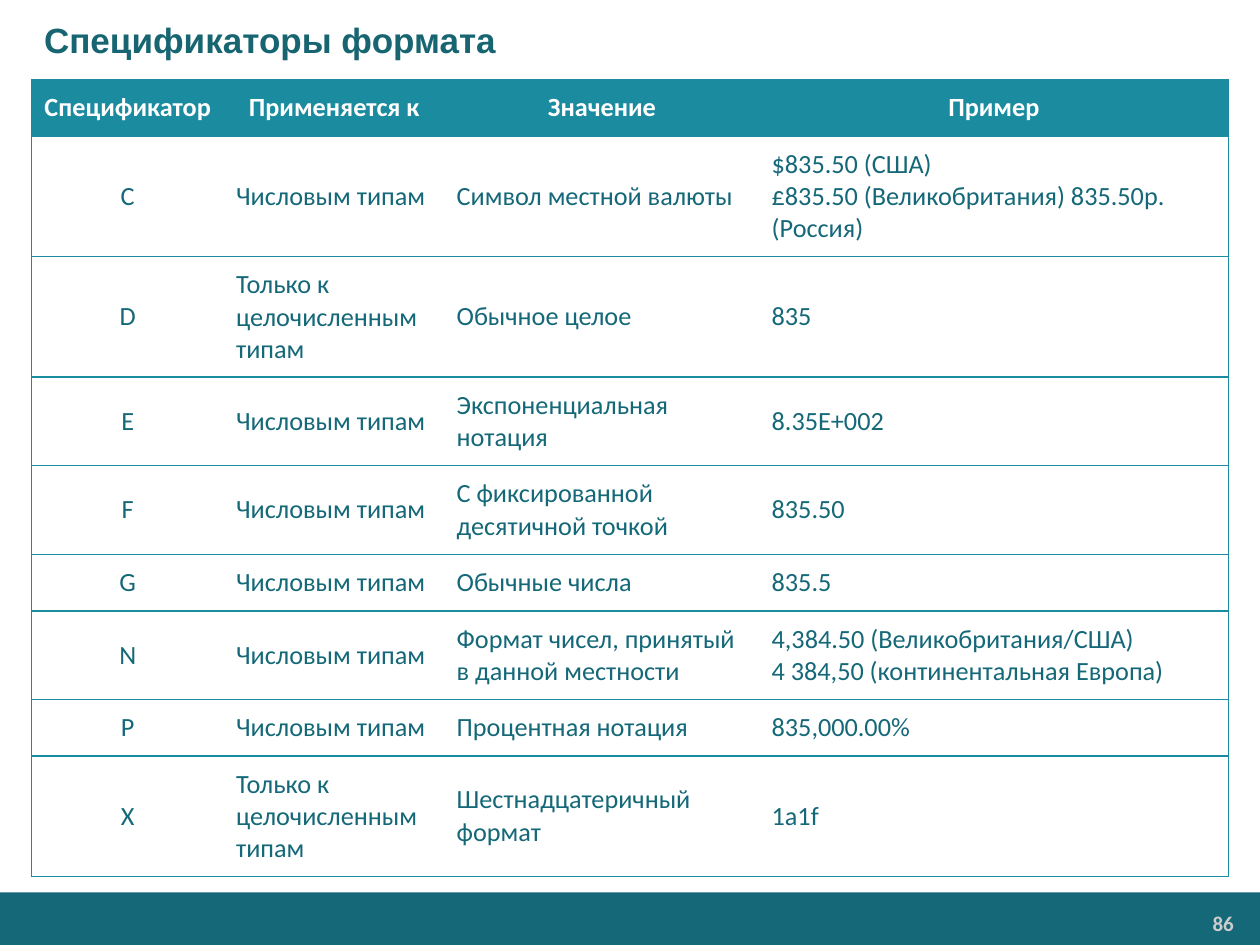
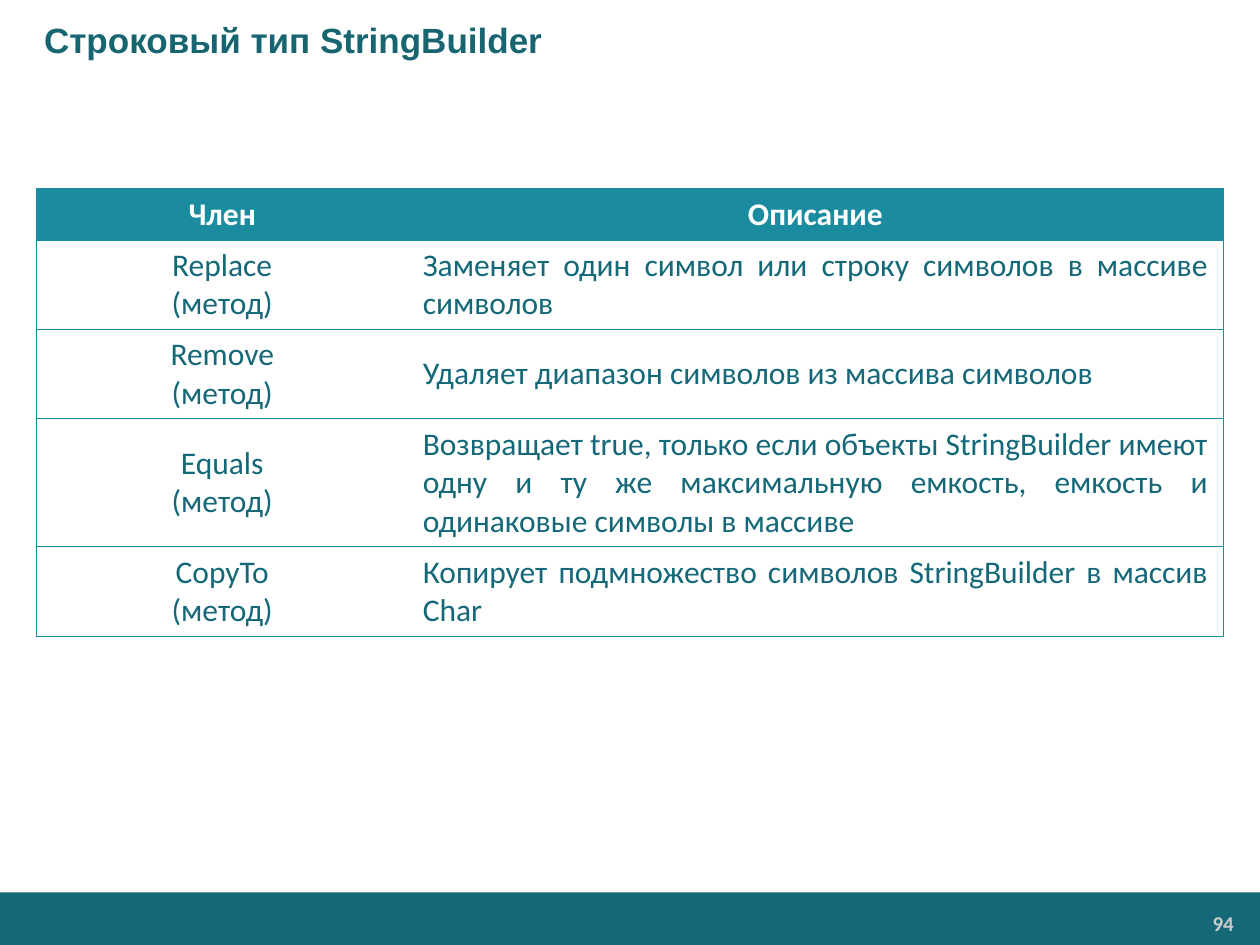
"""Build two reference slides on format specifiers and StringBuilder members."""
from lxml import etree
from pptx import Presentation
from pptx.dml.color import RGBColor
from pptx.enum import shapes, text
from pptx.oxml import ns
from pptx.util import Pt

WHITE = RGBColor(0xFF, 0xFF, 0xFF)
BAND = RGBColor(0x14, 0x68, 0x78)
TITLE = RGBColor(0x17, 0x65, 0x71)
NUMBER = RGBColor(0xCC, 0xCC, 0xCC)
HEADER = RGBColor(0x1B, 0x8B, 0xA0)
PAGE_WIDTH, PAGE_HEIGHT, BAND_TOP = 720, 540, 510
LINE_SPACING = 1.22
PLAIN_TABLE_STYLE = "{2D5ABB26-0587-4C30-8999-92F81FD0307C}"
LEFT, CENTER, RIGHT, JUSTIFY = (
    text.PP_ALIGN.LEFT, text.PP_ALIGN.CENTER, text.PP_ALIGN.RIGHT, text.PP_ALIGN.JUSTIFY)

NUMERIC = "Числовым типам"
INTEGER = "Только к целочисленным типам"

PAGES = [
    {
        "title": "Спецификаторы формата", "number": "86",
        "top": 45.5, "size": 15, "margins": (7, 7), "border": 1,
        "columns": [110, 126, 180, 268], "aligns": [CENTER, LEFT, LEFT, LEFT],
        "lines": [1, 3, 3, 2, 2, 1, 2, 1, 3],
        "rows": [
            ("Спецификатор", "Применяется к", "Значение", "Пример"),
            ("C", NUMERIC, "Символ местной валюты",
             "$835.50 (США)\v£835.50 (Великобритания) 835.50р.(Россия)"),
            ("D", INTEGER, "Обычное целое", "835"),
            ("E", NUMERIC, "Экспоненциальная нотация", "8.35Е+002"),
            ("F", NUMERIC, "С фиксированной десятичной точкой", "835.50"),
            ("G", NUMERIC, "Обычные числа", "835.5"),
            ("N", NUMERIC, "Формат чисел, принятый в данной местности",
             "4,384.50 (Великобритания/США)\v4 384,50 (континентальная Европа)"),
            ("P", NUMERIC, "Процентная нотация", "835,000.00%"),
            ("X", INTEGER, "Шестнадцатеричный формат", "1a1f"),
        ],
    },
    {
        "title": "Строковый тип StringBuilder", "number": "94",
        "top": 108, "size": 18, "margins": (8.64, 3.6), "border": 0.75,
        "columns": [212, 466], "aligns": [CENTER, JUSTIFY],
        "lines": [1, 2, 2, 3, 2],
        "rows": [
            ("Член", "Описание"),
            ("Replace\n(метод)", "Заменяет один символ или строку символов в массиве символов"),
            ("Remove\n(метод)", "Удаляет диапазон символов из массива символов"),
            ("Equals\n(метод)",
             "Возвращает true, только если объекты StringBuilder имеют одну и ту же "
             "максимальную емкость, емкость и одинаковые символы в массиве"),
            ("СоруТо\n(метод)", "Копирует подмножество символов StringBuilder в массив Char"),
        ],
    },
]


def write(frame, words, align, **formats):
    """Put words into a text frame with one alignment and font."""
    frame.text = words
    frame.word_wrap = True
    for para in frame.paragraphs:
        para.alignment = align
        for span in para.runs:
            span.font.color.rgb = formats["color"]
            for name in ("name", "size", "bold"):
                setattr(span.font, name, formats[name])


def add_border(cell, side, width):
    """Draw one edge of a table cell."""
    edge = etree.SubElement(cell._tc.get_or_add_tcPr(), ns.qn(f"a:ln{side}"), w=str(Pt(width)))
    fill = etree.SubElement(edge, ns.qn("a:solidFill"))
    etree.SubElement(fill, ns.qn("a:srgbClr"), val=str(HEADER))


deck = Presentation()
deck.slide_width, deck.slide_height = Pt(PAGE_WIDTH), Pt(PAGE_HEIGHT)

for content in PAGES:
    page = deck.slides.add_slide(deck.slide_layouts[6])

    band = page.shapes.add_shape(shapes.MSO_SHAPE.RECTANGLE, 0, Pt(BAND_TOP),
                                 Pt(PAGE_WIDTH), Pt(PAGE_HEIGHT - BAND_TOP))
    band.shadow.inherit = False
    band.fill.solid()
    band.fill.fore_color.rgb = BAND
    band.line.fill.background()

    number = page.shapes.add_textbox(Pt(592.5), Pt(517.7), Pt(117.5), Pt(20.2)).text_frame
    number.margin_left = number.margin_right = Pt(5)
    number.margin_top = number.margin_bottom = Pt(2.9)
    write(number, content["number"], RIGHT, name="Calibri", size=Pt(12), bold=True, color=NUMBER)

    title = page.shapes.add_textbox(0, 0, Pt(PAGE_WIDTH), Pt(45)).text_frame
    title.margin_left = Pt(25.2)
    title.vertical_anchor = text.MSO_ANCHOR.MIDDLE
    write(title, content["title"], LEFT, name="Arial", size=Pt(20), bold=True, color=TITLE)

    rows, columns, size = content["rows"], content["columns"], content["size"]
    side_margin, end_margin = content["margins"]
    heights = [2 * end_margin + count * size * LINE_SPACING for count in content["lines"]]
    width = sum(columns)
    table = page.shapes.add_table(
        len(rows), len(columns), Pt((PAGE_WIDTH - width) / 2), Pt(content["top"]),
        Pt(width), Pt(sum(heights))).table
    table.horz_banding = False
    table._tbl.tblPr.find(ns.qn("a:tableStyleId")).text = PLAIN_TABLE_STYLE
    for column, column_width in zip(table.columns, columns):
        column.width = Pt(column_width)

    for row_index, (row, height) in enumerate(zip(rows, heights)):
        table.rows[row_index].height = Pt(height)
        heading = row_index == 0
        for column_index, words in enumerate(row):
            cell = table.cell(row_index, column_index)
            cell.margin_left = cell.margin_right = Pt(side_margin)
            cell.margin_top = cell.margin_bottom = Pt(end_margin)
            cell.vertical_anchor = text.MSO_ANCHOR.MIDDLE
            write(cell.text_frame, words,
                  CENTER if heading else content["aligns"][column_index],
                  name="Calibri", size=Pt(size), bold=heading,
                  color=WHITE if heading else BAND)
            if column_index == 0:
                add_border(cell, "L", content["border"])
            if column_index == len(row) - 1:
                add_border(cell, "R", content["border"])
            for side in "TB":
                add_border(cell, side, content["border"])
            cell.fill.solid()
            cell.fill.fore_color.rgb = HEADER if heading else WHITE

deck.save("out.pptx")
